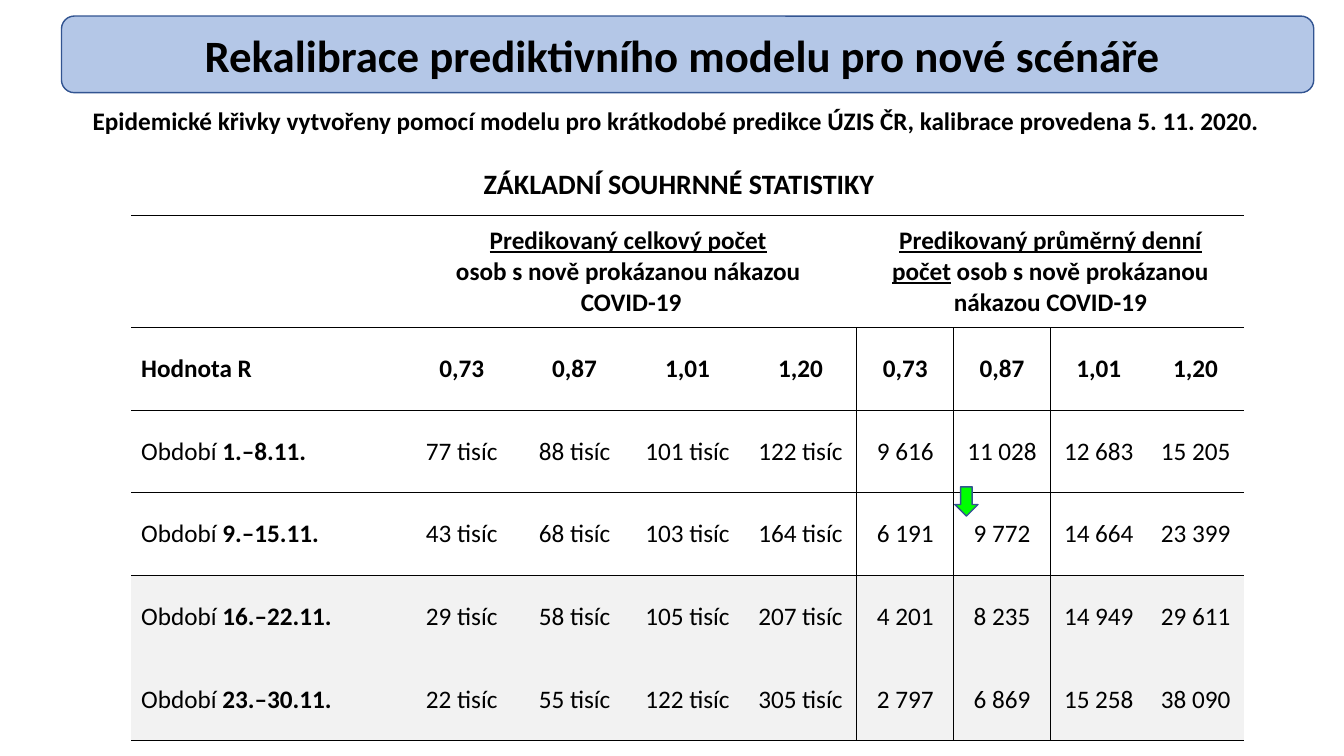
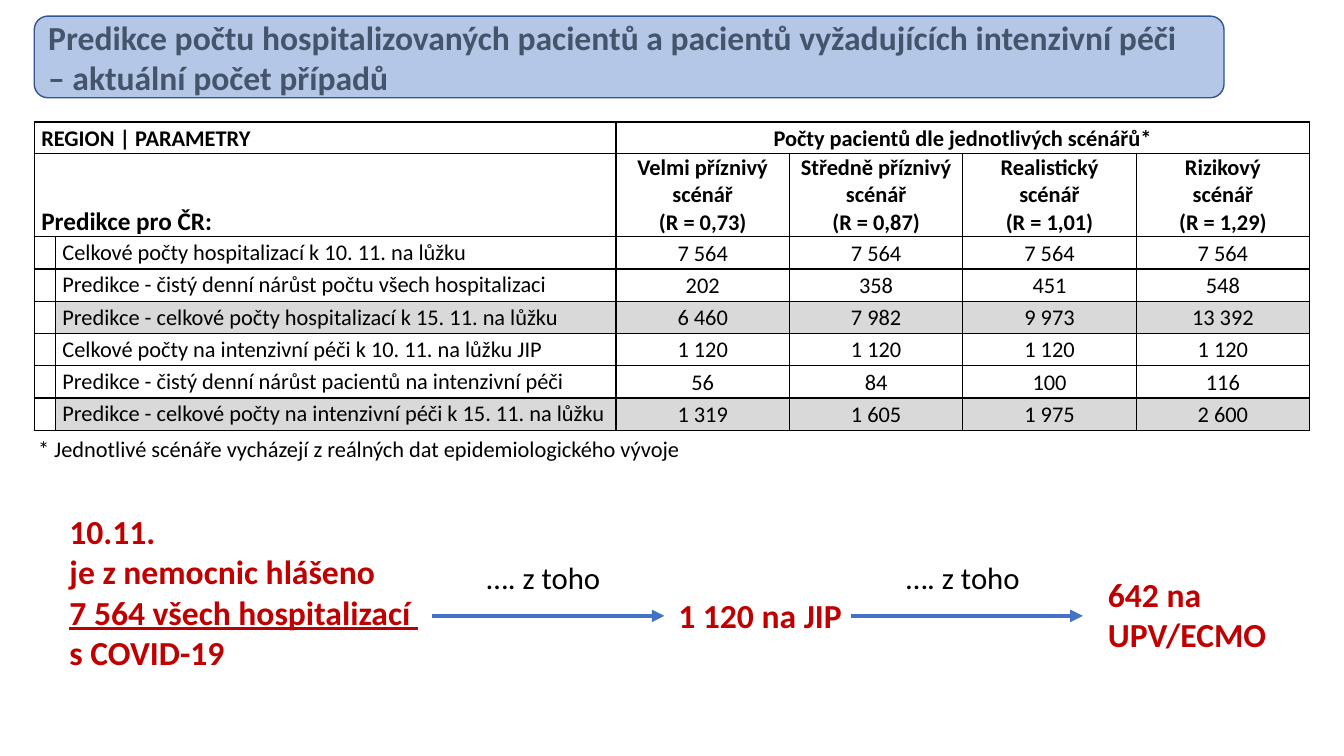
import lxml.etree
import pptx
import pptx.dml.color
import pptx.enum.shapes
import pptx.enum.text
import pptx.oxml
import pptx.oxml.ns
import pptx.util

RGBColor = pptx.dml.color.RGBColor
SHAPES = pptx.enum.shapes.MSO_SHAPE
ALIGN = pptx.enum.text.PP_ALIGN
ANCHOR = pptx.enum.text.MSO_ANCHOR

BLACK = RGBColor(0x00, 0x00, 0x00)
SLATE = RGBColor(0x44, 0x54, 0x6A)
RED = RGBColor(0xC0, 0x00, 0x00)
GREEN = RGBColor(0x00, 0xFF, 0x00)
BAND = RGBColor(0xB4, 0xC7, 0xE7)
OUTLINE = RGBColor(0x32, 0x54, 0x91)
ARROW = RGBColor(0x44, 0x72, 0xC4)
PALE_GREY = RGBColor(0xF2, 0xF2, 0xF2)
GREY = RGBColor(0xD9, 0xD9, 0xD9)

FONT = "Calibri"
EMU_PER_PX = 9144
NO_GRID_STYLE = "{2D5ABB26-0587-4C30-8999-92F81FD0307C}"
NUMBER_INSETS = (1, 1, 1, 0)
LABEL_INSETS = (7, 0, 7, 0)

R_VALUES = ["0,73", "0,87", "1,01", "1,20"]
PERIODS = [
    ("1.–8.11.", [77, 88, 101, 122], ["9 616", "11 028", "12 683", "15 205"]),
    ("9.–15.11.", [43, 68, 103, 164], ["6 191", "9 772", "14 664", "23 399"]),
    ("16.–22.11.", [29, 58, 105, 207], ["4 201", "8 235", "14 949", "29 611"]),
    ("23.–30.11.", [22, 55, 122, 305], ["2 797", "6 869", "15 258", "38 090"]),
]
SCENARIOS = [
    ["Velmi příznivý scénář", "(R = 0,73)"],
    ["Středně příznivý scénář", "(R = 0,87)"],
    ["Realistický", "scénář", "(R = 1,01)"],
    ["Rizikový", "scénář", "(R = 1,29)"],
]
PATIENTS = [
    ("Celkové počty hospitalizací k 10. 11. na lůžku", ["7 564"] * 4),
    ("Predikce - čistý denní nárůst počtu všech hospitalizaci",
     ["202", "358", "451", "548"]),
    ("Predikce - celkové počty hospitalizací k 15. 11. na lůžku",
     ["6 460", "7 982", "9 973", "13 392"]),
    ("Celkové počty na intenzivní péči k 10. 11. na lůžku JIP", ["1 120"] * 4),
    ("Predikce - čistý denní nárůst pacientů na intenzivní péči",
     ["56", "84", "100", "116"]),
    ("Predikce - celkové počty na intenzivní péči k 15. 11. na lůžku",
     ["1 319", "1 605", "1 975", "2 600"]),
]


def px(*lengths):
    """Turn px lengths into a list of EMU lengths."""
    return [pptx.util.Emu(length * EMU_PER_PX) for length in lengths]


def write(frame, paragraphs, size=18, color=BLACK, bold=False, align=ALIGN.LEFT,
          spacing=None, gap=0, after=0):
    """Fill a text frame; a paragraph is a string or a list of (text, run format)."""
    for index, content in enumerate(paragraphs):
        paragraph = frame.add_paragraph() if index else frame.paragraphs[0]
        paragraph.alignment = align
        if spacing:
            paragraph.line_spacing = spacing
        if gap and index:
            paragraph.space_before = pptx.util.Pt(gap)
        if after:
            paragraph.space_after = pptx.util.Pt(after)
        runs = [(content, {})] if isinstance(content, str) else content
        for text, changes in runs:
            for line_number, line in enumerate(text.split("\n")):
                if line_number:
                    paragraph.add_line_break()
                run = paragraph.add_run()
                run.text = line
                run.font.name = FONT
                run.font.size = pptx.util.Pt(changes.get("size", size))
                run.font.bold = changes.get("bold", bold)
                run.font.underline = changes.get("underline", False)
                run.font.color.rgb = color


def add_text(slide, box, paragraphs, **text_format):
    """Add a wrapping text box that grows with its text."""
    frame = slide.shapes.add_textbox(*px(*box)).text_frame
    frame.word_wrap = True
    frame.auto_size = pptx.enum.text.MSO_AUTO_SIZE.SHAPE_TO_FIT_TEXT
    write(frame, paragraphs, **text_format)


def add_outlined(slide, kind, box, fill):
    """Add a filled preset shape with the shared outline."""
    shape = slide.shapes.add_shape(kind, *px(*box))
    shape.shadow.inherit = False
    shape.fill.solid()
    shape.fill.fore_color.rgb = fill
    shape.line.color.rgb = OUTLINE
    shape.line.width = pptx.util.Pt(1)
    return shape


def add_title(slide, box, text, **text_format):
    """Add the rounded title band."""
    frame = add_outlined(slide, SHAPES.ROUNDED_RECTANGLE, box, BAND).text_frame
    frame.word_wrap = True
    frame.vertical_anchor = ANCHOR.MIDDLE
    write(frame, [text], bold=True, **text_format)


def add_arrow(slide, start, end, y):
    """Add a horizontal connector with a triangular head."""
    connector = slide.shapes.add_connector(
        pptx.enum.shapes.MSO_CONNECTOR.STRAIGHT, *px(start, y, end, y))
    connector.line.color.rgb = ARROW
    connector.line.width = pptx.util.Pt(3)
    properties = connector.element.spPr
    outline = properties.find(pptx.oxml.ns.qn("a:ln"))
    lxml.etree.SubElement(outline, pptx.oxml.ns.qn("a:tailEnd"), type="triangle")
    lxml.etree.SubElement(properties, pptx.oxml.ns.qn("a:effectLst"))


def add_table(slide, left, top, widths, heights):
    """Add a table without banding or grid."""
    frame = slide.shapes.add_table(
        len(heights), len(widths), *px(left, top, sum(widths), sum(heights)))
    table = frame.table
    table.first_row = table.horz_banding = False
    next(frame.element.iter(pptx.oxml.ns.qn("a:tableStyleId"))).text = NO_GRID_STYLE
    for column, width in zip(table.columns, px(*widths)):
        column.width = width
    for row, height in zip(table.rows, px(*heights)):
        row.height = height
    return table


def add_borders(cell, sides):
    """Draw thin black lines on the sides named by L, R, T and B."""
    properties = cell._tc.get_or_add_tcPr()
    for index, side in enumerate(side for side in "LRTB" if side in sides):
        properties.insert(index, pptx.oxml.parse_xml(
            f'<a:ln{side} {pptx.oxml.ns.nsdecls("a")} w="12700"><a:solidFill>'
            f'<a:srgbClr val="{BLACK}"/></a:solidFill></a:ln{side}>'))


def fill_cell(cell, paragraphs, fill=None, sides="", insets=(10, 5, 10, 5),
              anchor=ANCHOR.MIDDLE, **text_format):
    """Set the text, fill, borders and margins of one cell."""
    cell.margin_left, cell.margin_top, cell.margin_right, cell.margin_bottom = px(*insets)
    cell.vertical_anchor = anchor
    if fill is None:
        cell.fill.background()
    else:
        cell.fill.solid()
        cell.fill.fore_color.rgb = fill
    add_borders(cell, sides)
    write(cell.text_frame, paragraphs, **text_format)


def fill_rows(table, rows, style):
    """Fill a grid of paragraph lists with the format that style gives per place."""
    for row, contents in enumerate(rows):
        for column, paragraphs in enumerate(contents):
            fill_cell(table.cell(row, column), paragraphs, **style(row, column))


def merge_across(table, row, first, last):
    """Merge the cells of one row from first to last."""
    table.cell(row, first).merge(table.cell(row, last))


def period_style(row, column):
    """Give the format of a cell in the table of periods."""
    sides = ["TB", "TB", "TB", "T", "", "B"][row]
    if row:
        sides += {4: "R", 5: "LR", 6: "L"}.get(column, "")
    plain_insets = row == 0 or column == 0
    return {
        "sides": sides,
        "fill": PALE_GREY if row >= 4 else None,
        "bold": row < 2,
        "align": ALIGN.CENTER if column else ALIGN.LEFT,
        "insets": (10, 5, 10, 5) if plain_insets else (0, 0, 0, 0),
    }


def patient_style(row, column):
    """Give the format of a cell in the table of patients."""
    header = row < 2
    style = {
        "sides": {3: "LRT", 6: "LRT", 4: "LRB", 7: "LRB"}.get(row, "LRTB"),
        "fill": GREY if row in (4, 7) and column else None,
        "bold": header,
        "size": 18 if row == 1 and column == 0 else 16,
        "align": ALIGN.CENTER if column > 1 else ALIGN.LEFT,
        "insets": LABEL_INSETS if header or column < 2 else NUMBER_INSETS,
    }
    if row == 0 or row == 1 and column == 0:
        style["spacing"] = 1.07
    if row == 1 and column == 0:
        style["anchor"] = ANCHOR.BOTTOM
    return style


def build_scenarios(slide):
    """Build the slide of summary statistics."""
    add_title(slide, (61, 16, 1242, 76),
              "Rekalibrace prediktivního modelu pro nové scénáře ",
              size=32, align=ALIGN.CENTER)
    underline = {"underline": True}
    total = [("Predikovaný celkový počet", underline),
             (" \nosob s nově prokázanou nákazou \nCOVID-19", {})]
    daily = [("Predikovaný průměrný denní počet", underline),
             (" osob s nově prokázanou nákazou COVID-19", {})]
    rows = [[[], [total], [], [], [], [daily], [], [], []],
            [[value] for value in ["Hodnota R"] + R_VALUES * 2]]
    for period, thousands, daily_counts in PERIODS:
        label = [("Období ", {}), (period, {"bold": True})]
        totals = [[f"{count} tisíc"] for count in thousands]
        rows.append([[label]] + totals + [[count] for count in daily_counts])
    table = add_table(slide, 130, 214, [272] + [112] * 4 + [96] * 4, [111] + [82] * 5)
    fill_rows(table, rows, period_style)
    merge_across(table, 0, 1, 4)
    merge_across(table, 0, 5, 8)
    add_text(slide, (61, 100, 1225, 104),
             ["Epidemické křivky vytvořeny pomocí modelu pro krátkodobé predikce ÚZIS ČR, "
              "kalibrace provedena 5. 11. 2020. ",
              [("ZÁKLADNÍ SOUHRNNÉ STATISTIKY", {"size": 20})]],
             bold=True, align=ALIGN.CENTER, gap=22)
    add_outlined(slide, SHAPES.DOWN_ARROW, (947, 483, 23, 29), GREEN)


def build_patients(slide):
    """Build the slide of hospital predictions."""
    add_title(slide, (34, 16, 1180, 81),
              "Predikce počtu hospitalizovaných pacientů a pacientů vyžadujících "
              "intenzivní péči\n– aktuální počet případů", size=24, color=SLATE)
    reported = ["10.11.", "je z nemocnic hlášeno",
                [("7 564 všech hospitalizací ", {"underline": True})], "s COVID-19"]
    for box, paragraphs in [((59, 502, 369, 172), reported),
                            ((663, 585, 183, 50), ["1 120 na JIP"]),
                            ((1089, 564, 231, 91), ["642 na UPV/ECMO"])]:
        add_text(slide, box, paragraphs, size=24, color=RED, bold=True)
    for start, end in [(428, 659), (844, 1074)]:
        add_arrow(slide, start, end, 611)
        add_text(slide, (start - 19, 547, 260, 50), ["…. z toho"], size=22,
                 align=ALIGN.CENTER, spacing=1.07, after=8)
    rows = [[["REGION | PARAMETRY"], [],
             ["Počty pacientů dle jednotlivých scénářů*"], [], [], []],
            [["Predikce pro ČR:"], []] + SCENARIOS]
    for label, counts in PATIENTS:
        rows.append([[], [label]] + [[count] for count in counts])
    table = add_table(slide, 34, 121, [21, 556] + [172] * 4, [31, 83] + [32] * 6)
    fill_rows(table, rows, patient_style)
    merge_across(table, 0, 0, 1)
    merge_across(table, 0, 2, 5)
    merge_across(table, 1, 0, 1)
    add_text(slide, (28, 425, 896, 38),
             ["* Jednotlivé scénáře vycházejí z reálných dat epidemiologického vývoje"],
             size=16, spacing=1.07, after=8)


def main():
    """Build and save the presentation."""
    presentation = pptx.Presentation()
    presentation.slide_width, presentation.slide_height = px(1333, 750)
    for build in (build_scenarios, build_patients):
        build(presentation.slides.add_slide(presentation.slide_layouts[6]))
    presentation.save("out.pptx")


if __name__ == "__main__":
    main()
